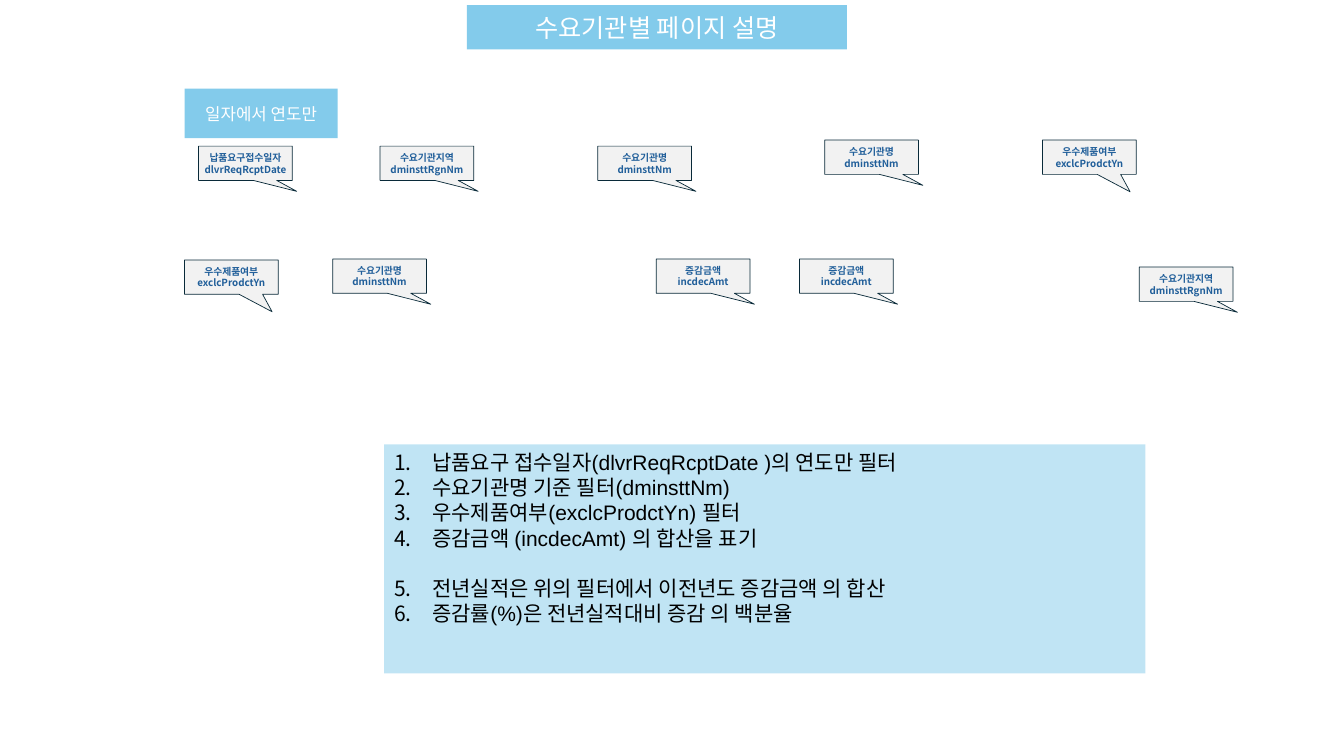
from lxml.etree import SubElement
from pptx import Presentation
from pptx.dml.color import RGBColor
from pptx.enum.shapes import MSO_SHAPE
from pptx.enum.text import MSO_ANCHOR, PP_ALIGN
from pptx.oxml.ns import qn
from pptx.util import Inches, Pt

SKY = RGBColor(0x83, 0xCB, 0xEB)
GRAY = RGBColor(0xF2, 0xF2, 0xF2)
NAVY = RGBColor(0x09, 0x2A, 0x39)
BLUE = RGBColor(0x21, 0x5F, 0x9A)
WHITE = RGBColor(0xFF, 0xFF, 0xFF)
BLACK = RGBColor(0, 0, 0)
KOREAN = "Noto Sans CJK KR"
LATIN = "Arial"

# Callout tails: tip offset from the centre, as a share of the size
LONG_TAIL = (-0.547, 0.819)
STEEP_TAIL = (-0.435, 1.01)

# Field name -> (label, tail)
FIELDS = {
    "dlvrReqRcptDate": ("납품요구접수일자", LONG_TAIL),
    "dminsttRgnNm": ("수요기관지역", LONG_TAIL),
    "dminsttNm": ("수요기관명", LONG_TAIL),
    "exclcProdctYn": ("우수제품여부", STEEP_TAIL),
    "incdecAmt": ("증감금액", LONG_TAIL),
}

# Field name, left, top
CALLOUTS = [
    ("dlvrReqRcptDate", 1.97, 1.45),
    ("dminsttRgnNm", 3.77, 1.45),
    ("dminsttNm", 5.93, 1.45),
    ("dminsttNm", 8.18, 1.39),
    ("exclcProdctYn", 10.34, 1.39),
    ("exclcProdctYn", 1.83, 2.58),
    ("dminsttNm", 3.3, 2.57),
    ("incdecAmt", 6.51, 2.57),
    ("incdecAmt", 7.93, 2.57),
    ("dminsttRgnNm", 11.3, 2.65),
]

RULES = [
    "납품요구 접수일자(dlvrReqRcptDate )의 연도만 필터",
    "수요기관명 기준 필터(dminsttNm)",
    "우수제품여부(exclcProdctYn) 필터",
    "증감금액 (incdecAmt) 의 합산을 표기",
    "전년실적은 위의 필터에서 이전년도 증감금액 의 합산",
    "증감률(%)은 전년실적대비 증감 의 백분율",
]
SECOND_GROUP = 4  # index of the rule that follows the gap


def add_box(slide, shape_type, left, top, width, height, fill):
    sp = slide.shapes.add_shape(
        shape_type, Inches(left), Inches(top), Inches(width), Inches(height))
    sp.shadow.inherit = False
    sp.fill.solid()
    sp.fill.fore_color.rgb = fill
    sp.line.fill.background()
    return sp


def write(p, text, size, color, align, font=KOREAN, bold=False):
    p.text = text
    p.alignment = align
    for r in p.runs:
        r.font.size = Pt(size)
        r.font.name = font
        r.font.bold = bold
        r.font.color.rgb = color
        SubElement(r.font._element, qn("a:ea"), typeface=KOREAN)


def add_label(slide, text, left, top, width, height, size):
    sp = add_box(slide, MSO_SHAPE.RECTANGLE, left, top, width, height, SKY)
    tf = sp.text_frame
    tf.vertical_anchor = MSO_ANCHOR.MIDDLE
    write(tf.paragraphs[0], text, size, WHITE, PP_ALIGN.CENTER)


def add_callout(slide, field, left, top):
    label, tail = FIELDS[field]
    sp = add_box(slide, MSO_SHAPE.RECTANGULAR_CALLOUT, left, top, 0.93, 0.34, GRAY)
    sp._element.spPr.xfrm.set("flipH", "1")
    sp.adjustments[0], sp.adjustments[1] = tail
    sp.line.color.rgb = NAVY
    sp.line.width = Pt(0.5)
    tf = sp.text_frame
    tf.word_wrap = False
    tf.vertical_anchor = MSO_ANCHOR.MIDDLE
    write(tf.paragraphs[0], f"{label}\n{field}", 7, BLUE, PP_ALIGN.CENTER, bold=True)


def add_rules(slide, left, top, width, height):
    sp = add_box(slide, MSO_SHAPE.RECTANGLE, left, top, width, height, SKY)
    # Half-transparent fill
    color = sp._element.spPr.find(qn("a:solidFill"))[0]
    SubElement(color, qn("a:alpha"), val="50000")
    tf = sp.text_frame
    tf.vertical_anchor = MSO_ANCHOR.TOP
    for i, rule in enumerate(RULES):
        p = tf.paragraphs[0] if i == 0 else tf.add_paragraph()
        write(p, rule, 15, BLACK, PP_ALIGN.LEFT, font=LATIN)
        if i == SECOND_GROUP:
            p.space_before = Pt(18)
        # Hanging automatic number
        pPr = p._p.get_or_add_pPr()
        pPr.set("marL", str(Inches(0.38)))
        pPr.set("indent", str(Inches(-0.38)))
        SubElement(pPr, qn("a:buFont"), typeface=KOREAN)
        SubElement(pPr, qn("a:buAutoNum"), type="arabicPeriod")


def main():
    prs = Presentation()
    prs.slide_width = Inches(13.33)
    prs.slide_height = Inches(7.5)
    slide = prs.slides.add_slide(prs.slide_layouts[6])

    # Title and note on the date field
    add_label(slide, "수요기관별 페이지 설명", 4.63, 0.05, 3.77, 0.44, 18)
    add_label(slide, "일자에서 연도만", 1.83, 0.88, 1.52, 0.49, 12)

    # Field callouts
    for field, left, top in CALLOUTS:
        add_callout(slide, field, left, top)

    # Numbered filter rules
    add_rules(slide, 3.81, 4.41, 7.55, 2.27)

    prs.save("out.pptx")


if __name__ == "__main__":
    main()
